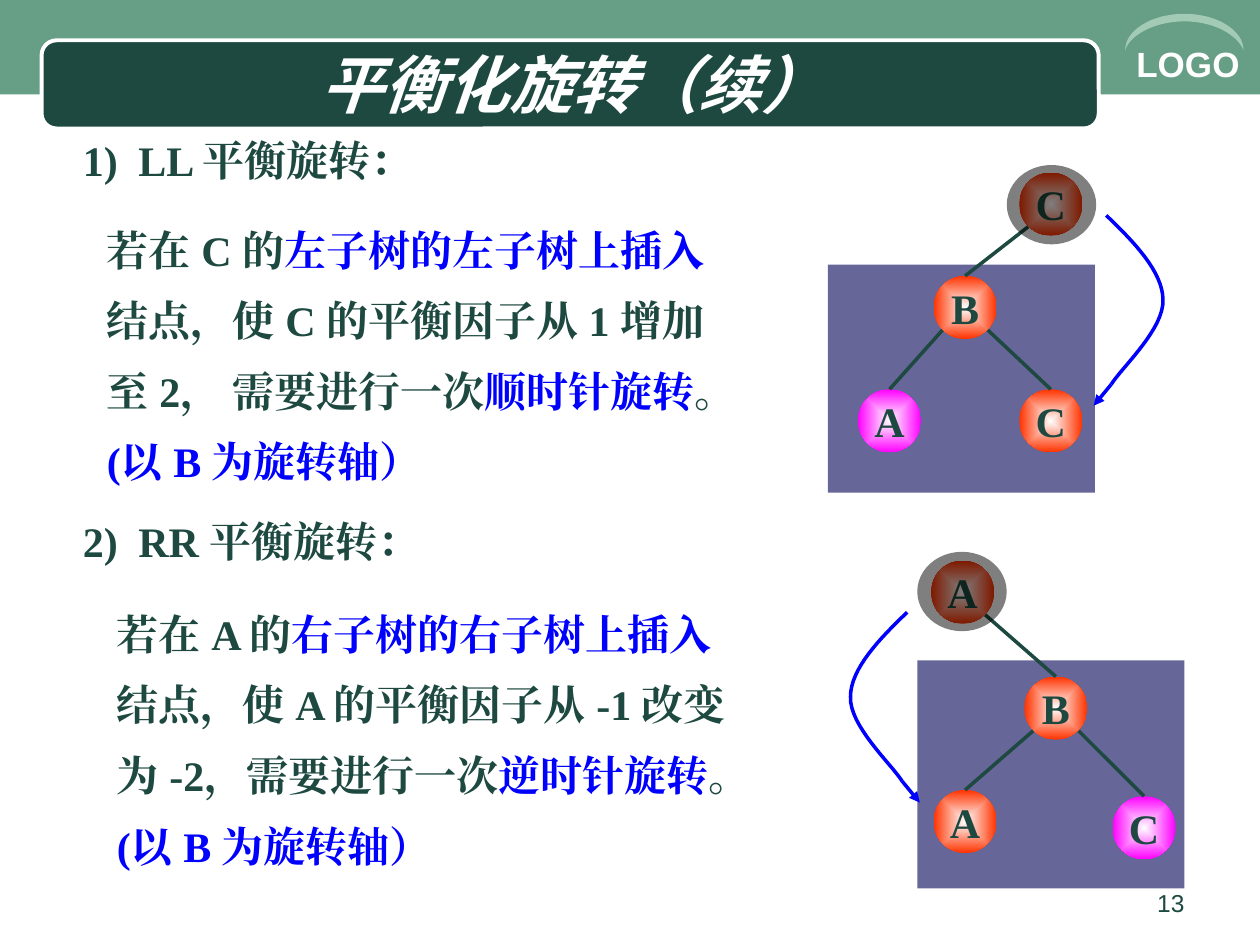
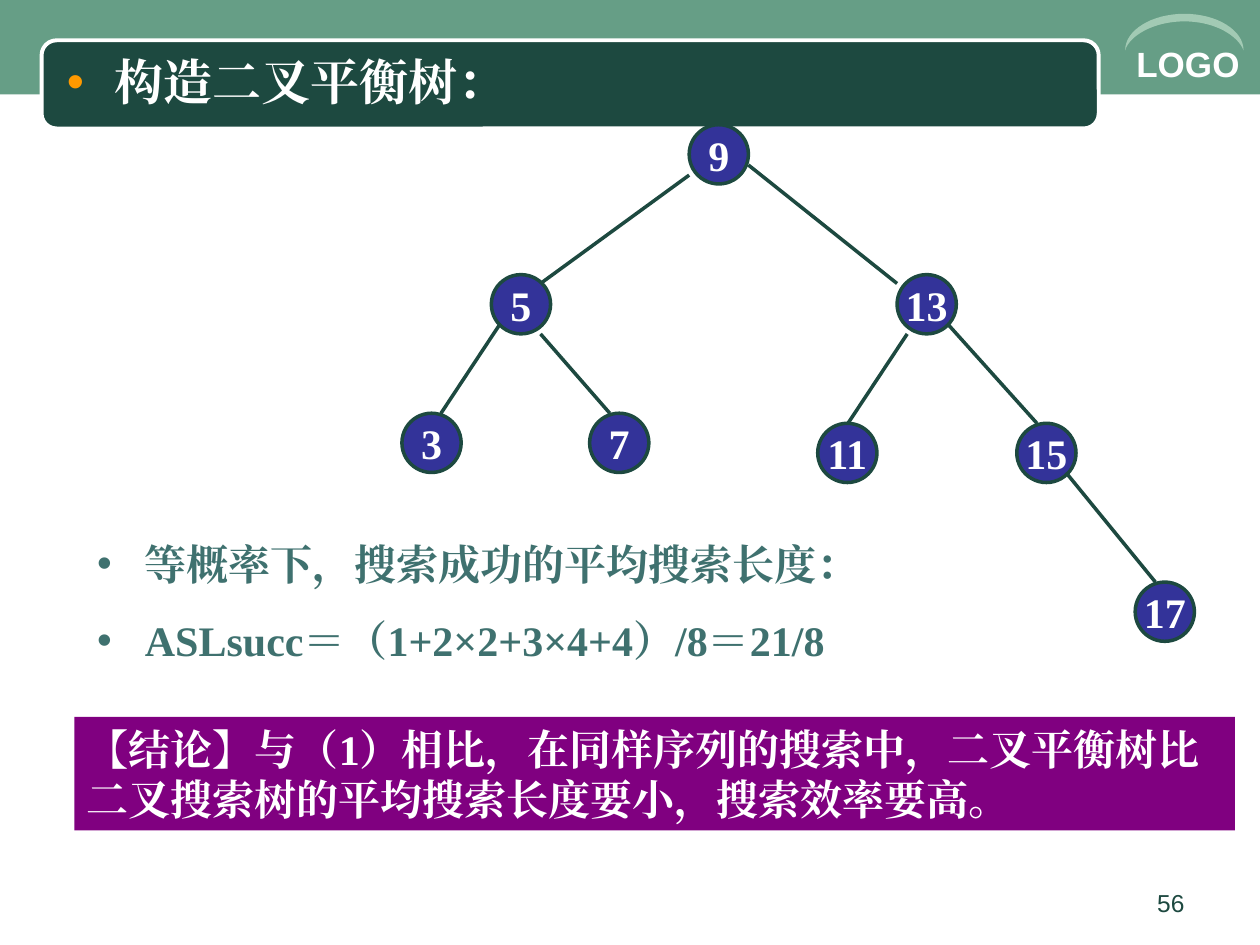
"""Build two slides on balancing rotations and a balanced binary tree."""
from dataclasses import dataclass

from lxml.etree import SubElement
from pptx import Presentation
from pptx.dml.color import RGBColor
from pptx.enum.shapes import MSO_CONNECTOR, MSO_SHAPE as SHAPE
from pptx.enum.text import MSO_ANCHOR as ANCHOR, MSO_AUTO_SIZE as AUTO, PP_ALIGN as ALIGN
from pptx.oxml import parse_xml
from pptx.oxml.ns import nsdecls, qn
from pptx.util import Emu, Pt


@dataclass(frozen=True)
class Theme:
    dark: str = "1D4940"
    band: str = "669E86"
    arc: str = "A2CAB4"
    white: str = "FFFFFF"
    blue: str = "0000FF"
    panel: str = "666699"
    orange: str = "FF3300"
    magenta: str = "FF00FF"
    black: str = "000000"
    key: str = "333399"
    item: str = "3F716F"
    dot: str = "FF9900"
    purple: str = "800080"
    serif: str = "Times New Roman"
    sans: str = "Arial"
    cjk: str = "Noto Sans CJK JP"
    title: int = 36
    heading: int = 28
    text: int = 24
    logo: int = 20
    page: int = 14
    line: float = 2
    frame: float = 2.25


T = Theme()
PX = 9144
NODE, KEY = 50, 47
CORNER = 7
ARC = [(987, 40), (983, 29), (965, 17), (940, 17), (915, 17), (896, 29), (893, 40),
       (893, 24), (914, 11), (940, 11), (966, 11), (987, 24), (987, 40)]
SWING = [(878, 171), (900, 192), (923, 216), (923, 238), (924, 261), (891, 291), (882, 305)]
SWING_END = (868, 322)

ROTATIONS = [
    {
        "heading": ("1)", "LL 平衡旋转：", (56, 102, 400, 50)),
        "box": (75, 157, 551, 234),
        "paragraphs": [
            [("若在 C 的", T.dark), ("左子树的左子树上插入", T.blue)],
            [("结点，使 C 的平衡因子从 1 增加", T.dark)],
            [("至 2， 需要进行一次", T.dark), ("顺时针旋转", T.blue),
             ("。", T.dark), ("(以 B 为旋转轴）", T.blue)],
        ],
        "panel": (657, 210, 212, 181),
        "nodes": [("C", 809, 137, T.orange), ("B", 741, 219, T.orange),
                  ("A", 681, 309, T.magenta), ("C", 809, 309, T.orange)],
        "edges": [(0, 1), (1, 2), (1, 3)],
        "shade": (799, 131, 71, 63),
        "swing": lambda x, y: (x, y),
    },
    {
        "heading": ("2)", "RR 平衡旋转：", (56, 404, 400, 50)),
        "box": (83, 462, 551, 280),
        "paragraphs": [
            [("若在 A 的", T.dark), ("右子树的右子树上插入", T.blue)],
            [("结点，使 A 的平衡因子从 -1 改变", T.dark)],
            [("为 -2，需要进行一次", T.dark), ("逆时针旋转", T.blue),
             ("。", T.dark), ("(以 B 为旋转轴）", T.blue)],
        ],
        "panel": (728, 524, 212, 181),
        "nodes": [("A", 739, 445, T.orange), ("B", 813, 537, T.orange),
                  ("A", 741, 627, T.orange), ("C", 883, 632, T.magenta)],
        "edges": [(0, 1), (1, 2), (1, 3)],
        "shade": (728, 438, 71, 63),
        "swing": lambda x, y: (1598 - x, y + 315),
    },
]

KEYS = [("3", 319, 328), ("5", 390, 218), ("7", 468, 328), ("9", 547, 99),
        ("11", 649, 336), ("17", 901, 462), ("15", 807, 336), ("13", 712, 218)]
KEY_EDGES = [((547, 139), (429, 225)), ((594, 131), (712, 225)), ((397, 257), (350, 328)),
             ((429, 265), (484, 328)), ((720, 265), (673, 336)), ((752, 257), (823, 336)),
             ((846, 375), (917, 462))]
ITEMS = ["等概率下，搜索成功的平均搜索长度：", "ASLsucc＝（1+2×2+3×4+4）/8＝21/8"]
CONCLUSION = ("【结论】与（1）相比，在同样序列的搜索中，"
              "二叉平衡树比二叉搜索树的平均搜索长度要小，搜索效率要高。")


def emu(values):
    return [Emu(round(v * PX)) for v in values]


def rgb(colour):
    return RGBColor.from_string(colour)


def add_run(p, text, colour, size=T.text, font=T.serif, bold=True, italic=False):
    r = p.add_run()
    r.text = text
    f = r.font
    f.name, f.size, f.bold, f.italic = font, Pt(size), bold, italic
    f.color.rgb = rgb(colour)
    SubElement(r._r.get_or_add_rPr(), qn("a:ea")).set("typeface", font)


def add_bullet(p, colour):
    pPr = p._p.get_or_add_pPr()
    pPr.set("marL", str(38 * PX))
    pPr.set("indent", str(-38 * PX))
    clr = SubElement(SubElement(pPr, qn("a:buClr")), qn("a:srgbClr"))
    clr.set("val", colour)
    SubElement(pPr, qn("a:buFont")).set("typeface", T.sans)
    SubElement(pPr, qn("a:buChar")).set("char", "•")


def add_tab(p, x):
    tab = SubElement(SubElement(p._p.get_or_add_pPr(), qn("a:tabLst")), qn("a:tab"))
    tab.set("pos", str(x * PX))
    tab.set("algn", "l")


def place(sp, box):
    sp.left, sp.top, sp.width, sp.height = emu(box)


def frame_text(sp, anchor=ANCHOR.TOP, wrap=True):
    tf = sp.text_frame
    tf.auto_size, tf.word_wrap, tf.vertical_anchor = AUTO.NONE, wrap, anchor
    return tf


def add_box(s, box):
    return frame_text(s.shapes.add_textbox(*emu(box)))


def add_shape(s, kind, box, fill, line=None, weight=T.line):
    sp = s.shapes.add_shape(kind, *emu(box))
    return style(sp, fill, line, weight)


def style(sp, fill, line=None, weight=T.line):
    sp.shadow.inherit = False
    if fill:
        sp.fill.solid()
        sp.fill.fore_color.rgb = rgb(fill)
    else:
        sp.fill.background()
    if line:
        sp.line.color.rgb = rgb(line)
        sp.line.width = Pt(weight)
    else:
        sp.line.fill.background()
    return sp


def add_line(s, start, end, colour=T.dark, arrow=False):
    c = s.shapes.add_connector(MSO_CONNECTOR.STRAIGHT, *emu(start + end))
    c.line.color.rgb = rgb(colour)
    c.line.width = Pt(T.line)
    if arrow:
        SubElement(c.line._get_or_add_ln(), qn("a:tailEnd")).set("type", "triangle")
    SubElement(c._element.spPr, qn("a:effectLst"))
    return c


def add_curve(s, points, closed, fill=None, line=None, steps=16):
    path = [points[0]]
    for i in range(0, len(points) - 1, 3):
        a, b, c, d = points[i:i + 4]
        for k in range(1, steps + 1):
            t = k / steps
            u = 1 - t
            path.append(tuple(u**3 * a[j] + 3 * u * u * t * b[j] + 3 * u * t * t * c[j] + t**3 * d[j]
                              for j in (0, 1)))
    path = [emu(pt) for pt in path]
    fb = s.shapes.build_freeform(*path[0])
    fb.add_line_segments(path[1:], close=closed)
    return style(fb.convert_to_shape(), fill, line)


def add_ball(s, label, box, fill, line, colour):
    sp = add_shape(s, SHAPE.OVAL, box, fill, line)
    p = frame_text(sp, ANCHOR.MIDDLE, wrap=False).paragraphs[0]
    p.alignment = ALIGN.CENTER
    add_run(p, label, colour)
    return sp


def glow(sp, colour):
    fill = sp._element.spPr.find(qn("a:solidFill"))
    fill.getparent().replace(fill, parse_xml(
        f'<a:gradFill {nsdecls("a")} rotWithShape="1"><a:gsLst>'
        f'<a:gs pos="0"><a:srgbClr val="{T.white}"/></a:gs>'
        f'<a:gs pos="100000"><a:srgbClr val="{colour}"/></a:gs></a:gsLst>'
        '<a:path path="rect"><a:fillToRect l="50000" t="50000" r="50000" b="50000"/></a:path>'
        '</a:gradFill>'))


def add_slide(prs, layout, page, title_box):
    s = prs.slides.add_slide(prs.slide_layouts[layout])
    holders = list(s.placeholders)
    add_shape(s, SHAPE.RECTANGLE, (0, 0, 1000, 75), T.band)
    bar = add_shape(s, SHAPE.ROUNDED_RECTANGLE, (33, 32, 839, 70), T.dark, T.white, T.frame)
    bar.adjustments[0] = 0.17
    add_run(add_box(s, (892, 29, 108, 44)).paragraphs[0], "LOGO", T.white, T.logo, T.sans)
    add_curve(s, ARC, True, fill=T.arc)
    p = add_box(s, (717, 700, 233, 35)).paragraphs[0]
    p.alignment = ALIGN.RIGHT
    add_run(p, page, T.dark, T.page, T.sans, bold=False)
    for holder in holders:
        s.shapes._spTree.append(holder._element)
    place(s.shapes.title, title_box)
    return s, frame_text(s.shapes.title, ANCHOR.MIDDLE).paragraphs[0]


def add_rotation(s, rot):
    number, name, box = rot["heading"]
    p = add_box(s, box).paragraphs[0]
    add_tab(p, 44)
    add_run(p, f"{number}\t{name}", T.dark)
    tf = add_box(s, rot["box"])
    for i, runs in enumerate(rot["paragraphs"]):
        p = tf.add_paragraph() if i else tf.paragraphs[0]
        p.line_spacing = 1.4
        for text, colour in runs:
            add_run(p, text, colour)

    add_shape(s, SHAPE.RECTANGLE, rot["panel"], T.panel)
    nodes = []
    for label, x, y, colour in rot["nodes"]:
        sp = add_ball(s, label, (x, y, NODE, NODE), colour, None, T.dark)
        glow(sp, colour)
        nodes.append(sp)
    for parent, child in rot["edges"]:
        _, x, y, _ = rot["nodes"][parent]
        _, cx, cy, _ = rot["nodes"][child]
        side = CORNER if cx < x else NODE - CORNER
        c = add_line(s, (x + side, y + NODE - CORNER), (cx + NODE / 2, cy))
        c.end_connect(nodes[child], 0)
    shade = add_shape(s, SHAPE.OVAL, rot["shade"], T.black)
    clr = shade._element.spPr.find(".//" + qn("a:srgbClr"))
    SubElement(clr, qn("a:alpha")).set("val", "50000")
    curve = [rot["swing"](*pt) for pt in SWING]
    add_curve(s, curve, False, line=T.blue)
    add_line(s, curve[-1], rot["swing"](*SWING_END), T.blue, arrow=True)


def rotation_slide(prs):
    s, p = add_slide(prs, 5, "13", (50, 35, 808, 62))
    p.alignment = ALIGN.CENTER
    add_run(p, "平衡化旋转（续）", T.white, T.title, T.cjk, italic=True)
    for rot in ROTATIONS:
        add_rotation(s, rot)


def tree_slide(prs):
    s, p = add_slide(prs, 1, "56", (43, 36, 394, 57))
    add_bullet(p, T.dot)
    p.alignment = ALIGN.LEFT
    add_run(p, "构造二叉平衡树：", T.white, T.heading)
    for label, x, y in KEYS:
        add_ball(s, label, (x, y, KEY, KEY), T.key, T.dark, T.white)
    for start, end in KEY_EDGES:
        add_line(s, start, end)
    body = s.placeholders[1]
    place(body, (67, 422, 638, 145))
    tf = frame_text(body)
    for i, item in enumerate(ITEMS):
        p = tf.add_paragraph() if i else tf.paragraphs[0]
        add_bullet(p, T.item)
        p.space_before = Pt(15 if i else 0)
        add_run(p, item, T.item)
    note = add_shape(s, SHAPE.RECTANGLE, (59, 569, 921, 90), T.purple)
    p = frame_text(note).paragraphs[0]
    p.alignment = ALIGN.LEFT
    add_run(p, CONCLUSION, T.white)


def main():
    prs = Presentation()
    prs.slide_width, prs.slide_height = emu((1000, 750))
    rotation_slide(prs)
    tree_slide(prs)
    prs.save("out.pptx")


if __name__ == "__main__":
    main()
